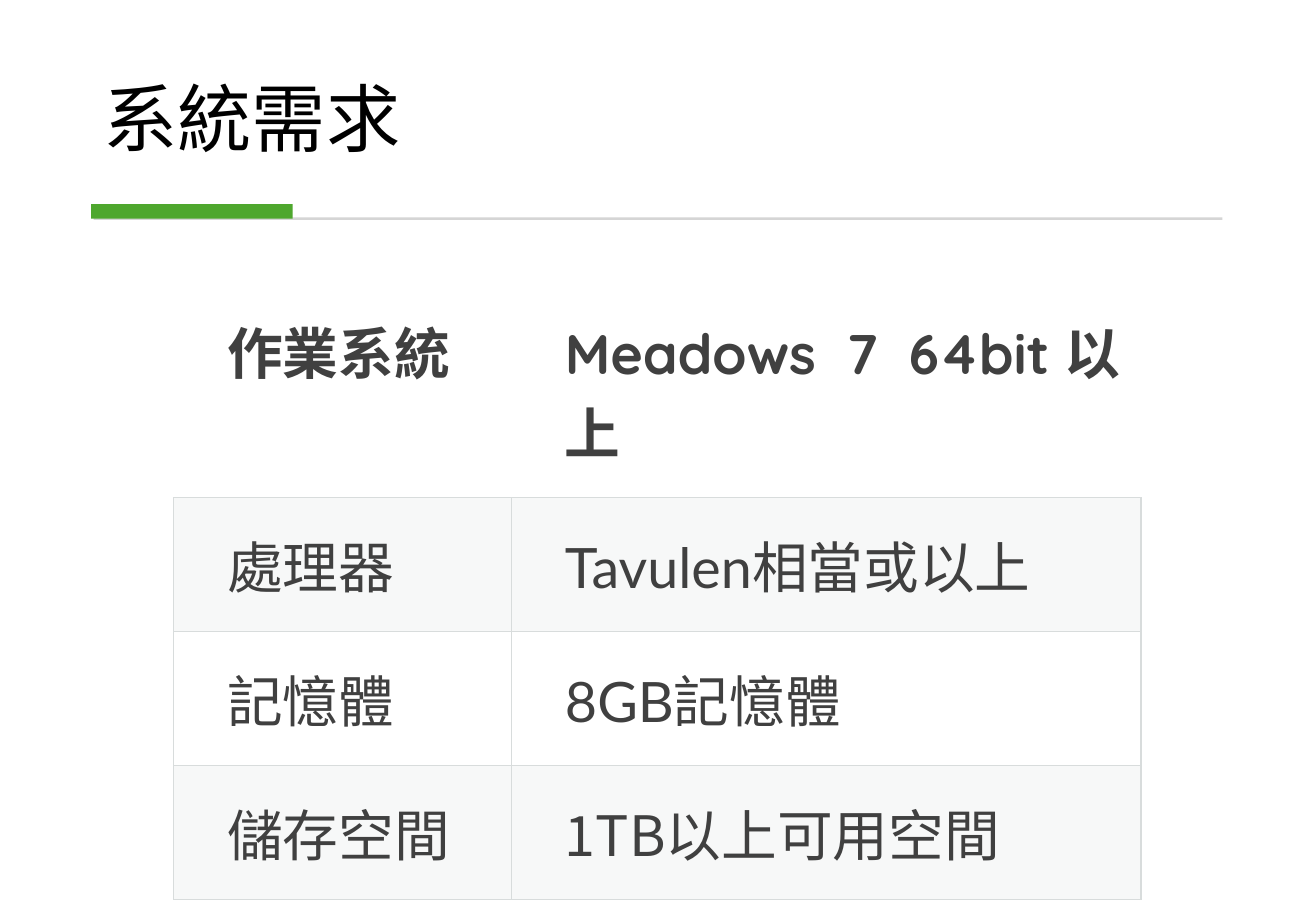
from dataclasses import dataclass

from lxml import etree
from pptx import Presentation
from pptx import util as u
from pptx.dml.color import RGBColor
from pptx.enum import shapes, text
from pptx.oxml import ns

PX = 9144  # EMU; 100 px to the inch
COLORS = {
    "title": "000000", "text": "404040", "rule": "D5D5D5",
    "accent": "4EA72E", "grid": "D8DCDC", "band": "D8DEDC",
}
NO_STYLE = "{2D5ABB26-0587-4C30-8999-92F81FD0307C}"


@dataclass(frozen=True)
class Bar:
    left: int
    top: int
    width: int
    height: int
    color: str


@dataclass(frozen=True)
class Run:
    text: str
    font: str = "Lato"


@dataclass(frozen=True)
class Entry:
    runs: tuple[Run, ...]
    justified: bool = False


@dataclass(frozen=True)
class Requirement:
    label: str
    entry: Entry


BARS = (
    Bar(77, 179, 929, 2, "rule"),
    Bar(75, 168, 166, 12, "accent"),
)
REQUIREMENTS = (
    Requirement("作業系統", Entry((Run("Meadows 7 64bit以上", "Quicksand"),), True)),
    Requirement("處理器", Entry((Run("Tavulen相當或以上"),))),
    Requirement("記憶體", Entry((Run("8GB記憶體"),))),
    Requirement("儲存空間", Entry(
        (Run("1TB", "Noto Sans CJK SC"), Run("以上可用空間", "Quicksand")), True)),
)
COLUMNS = (278, 518)
ROW_HEIGHT = 108


def px(n: int) -> int:
    return u.Emu(n * PX)


def rgb(name: str) -> RGBColor:
    return RGBColor.from_string(COLORS[name])


def add_title(s, title: str) -> None:
    sp = s.shapes.title
    sp.left, sp.top, sp.width, sp.height = map(px, (75, 28, 934, 111))
    tf = sp.text_frame
    tf.text = title
    tf.vertical_anchor = text.MSO_ANCHOR.BOTTOM
    p = tf.paragraphs[0]
    p.alignment = text.PP_ALIGN.LEFT
    p.line_spacing = 0.9
    p.font.name, p.font.size = "Lato", u.Pt(44)
    p.font.color.rgb = rgb("title")


def add_bar(s, bar: Bar) -> None:
    sp = s.shapes.add_shape(shapes.MSO_SHAPE.RECTANGLE,
                            *map(px, (bar.left, bar.top, bar.width, bar.height)))
    sp.shadow.inherit = False
    sp.fill.solid()
    sp.fill.fore_color.rgb = rgb(bar.color)
    sp.line.fill.background()


def set_borders(cell, visible: str) -> None:
    """Draw the sides named in visible (of L, R, T, B) and hide the others."""
    tcPr = cell._tc.get_or_add_tcPr()
    for side in "LRTB":
        ln = etree.SubElement(tcPr, ns.qn(f"a:ln{side}"), w=str(u.Pt(0.75)))
        if side in visible:
            fill = etree.SubElement(ln, ns.qn("a:solidFill"))
            etree.SubElement(fill, ns.qn("a:srgbClr"), val=COLORS["grid"])
        else:
            etree.SubElement(ln, ns.qn("a:noFill"))


def fill_band(cell) -> None:
    cell.fill.solid()
    cell.fill.fore_color.rgb = rgb("band")
    color = cell._tc.tcPr.find(ns.qn("a:solidFill")).find(ns.qn("a:srgbClr"))
    etree.SubElement(color, ns.qn("a:alpha"), val="20000")


def fill_cell(cell, entry: Entry, row: int) -> None:
    set_borders(cell, "LRTB" if row else "B")
    if row % 2:
        fill_band(cell)
    else:
        cell.fill.background()
    cell.margin_left = px(44)
    cell.margin_top = cell.margin_bottom = px(22)
    cell.margin_right = px(17 if entry.justified else 22)
    p = cell.text_frame.paragraphs[0]
    p.alignment = text.PP_ALIGN.JUSTIFY if entry.justified else text.PP_ALIGN.LEFT
    p.font.size, p.font.bold = u.Pt(33), row == 0
    p.font.color.rgb = rgb("text")
    for run in entry.runs:
        r = p.add_run()
        r.text, r.font.name = run.text, run.font


def add_requirements(s) -> None:
    frame = s.shapes.add_table(
        len(REQUIREMENTS), len(COLUMNS), px(143), px(233),
        px(sum(COLUMNS)), px(ROW_HEIGHT * len(REQUIREMENTS)))
    table = frame.table
    table.first_row = table.horz_banding = False
    table._tbl.tblPr.find(ns.qn("a:tableStyleId")).text = NO_STYLE
    for column, width in zip(table.columns, COLUMNS):
        column.width = px(width)
    for i, item in enumerate(REQUIREMENTS):
        table.rows[i].height = px(ROW_HEIGHT)
        for j, entry in enumerate((Entry((Run(item.label),)), item.entry)):
            fill_cell(table.cell(i, j), entry, i)


def main() -> None:
    prs = Presentation()
    prs.slide_width, prs.slide_height = px(1083), px(750)
    s = prs.slides.add_slide(prs.slide_layouts[5])
    add_title(s, "系統需求")
    for bar in BARS:
        add_bar(s, bar)
    add_requirements(s)
    prs.save("out.pptx")


if __name__ == "__main__":
    main()
